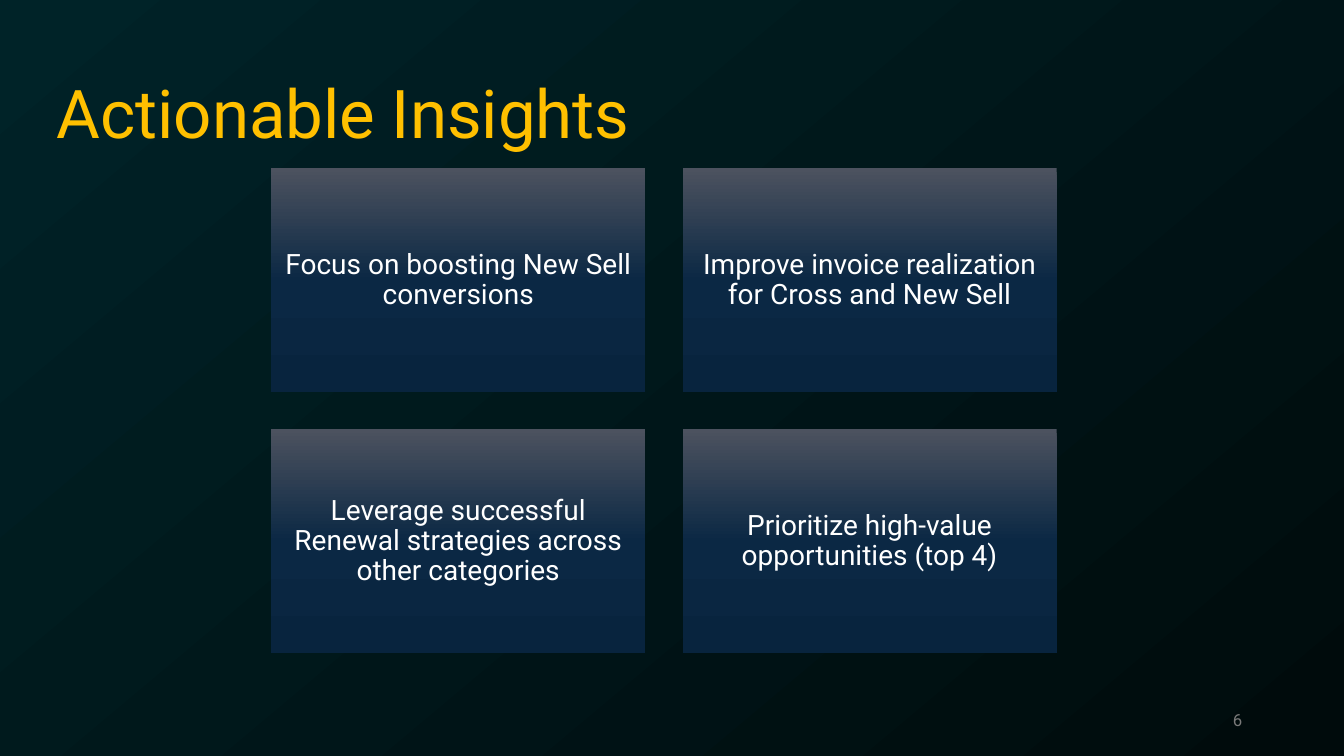
import copy

import pptx
import pptx.util
import pptx.dml.color
import pptx.enum.shapes
import pptx.enum.text

Inches = pptx.util.Inches
RGB = pptx.dml.color.RGBColor
ALIGN = pptx.enum.text.PP_ALIGN
ANCHOR = pptx.enum.text.MSO_ANCHOR

GOLD = RGB(0xFF, 0xC0, 0x00)
WHITE = RGB(0xFF, 0xFF, 0xFF)
GREY = RGB(0x79, 0x79, 0x79)
NIGHT = [(0, RGB(0x00, 0x0B, 0x0C)), (1, RGB(0x00, 0x23, 0x28))]
STEEL = [(0, RGB(0x4C, 0x52, 0x5F)), (0.5, RGB(0x0B, 0x28, 0x44)),
         (1, RGB(0x08, 0x24, 0x3E))]

WIDE, HIGH = 13.33, 7.5

# Card grid
LEFT, TOP = 2.69, 1.67
CARD_W, CARD_H = 3.71, 2.22
GAP = 0.37
COLS = 2

CARDS = [
    "Focus on boosting New Sell conversions",
    "Improve invoice realization for Cross and New Sell",
    "Leverage successful Renewal strategies across other categories",
    "Prioritize high-value opportunities (top 4)",
]


class Deck:
    """Holds the style and the current slide."""
    font = "Roboto"

    def __init__(self):
        self.show = pptx.Presentation()
        self.show.slide_width = Inches(WIDE)
        self.show.slide_height = Inches(HIGH)
        self.slide = self.show.slides.add_slide(self.show.slide_layouts[6])

    def panel(self, box, stops, angle):
        """Rectangle with a gradient; the angle runs counter-clockwise."""
        kind = pptx.enum.shapes.MSO_SHAPE.RECTANGLE
        shape = self.slide.shapes.add_shape(kind, *map(Inches, box))
        shape.shadow.inherit = False
        shape.line.fill.background()
        shape.fill.gradient()
        shape.fill.gradient_angle = angle
        ramp = shape.element.xpath(".//a:gsLst")[0]
        while len(ramp) < len(stops):
            ramp.append(copy.deepcopy(ramp[-1]))
        for stop, (place, color) in zip(shape.fill.gradient_stops, stops):
            stop.position = place
            stop.color.rgb = color
        return shape

    def letter(self, shape, text, size, color, align, anchor, inset):
        frame = shape.text_frame
        frame.text = text
        frame.word_wrap = True
        frame.vertical_anchor = anchor
        frame.margin_left = frame.margin_right = Inches(inset)
        frame.margin_top = frame.margin_bottom = Inches(inset)
        line = frame.paragraphs[0]
        line.alignment = align
        line.line_spacing = 0.9
        font = line.runs[0].font
        font.name = self.font
        font.size = pptx.util.Pt(size)
        font.color.rgb = color

    def label(self, box, *style):
        shape = self.slide.shapes.add_textbox(*map(Inches, box))
        self.letter(shape, *style)

    def card(self, index, text):
        row, col = divmod(index, COLS)
        box = (LEFT + col * (CARD_W + GAP), TOP + row * (CARD_H + GAP),
               CARD_W, CARD_H)
        shape = self.panel(box, STEEL, 270)
        self.letter(shape, text, 20, WHITE, ALIGN.CENTER, ANCHOR.MIDDLE, 0.08)


def main():
    deck = Deck()

    # Backdrop and title
    deck.panel((0, 0, WIDE, HIGH), NIGHT, 130)
    deck.label((0.56, 0.41, 12.22, 1.11), "Actionable Insights", 48, GOLD,
               ALIGN.LEFT, ANCHOR.BOTTOM, 0)

    # Insight cards
    for index, text in enumerate(CARDS):
        deck.card(index, text)

    # Page number
    deck.label((9.42, 6.95, 3, 0.4), "6", 12, GREY,
               ALIGN.RIGHT, ANCHOR.MIDDLE, 0.1)

    deck.show.save("out.pptx")


if __name__ == "__main__":
    main()
